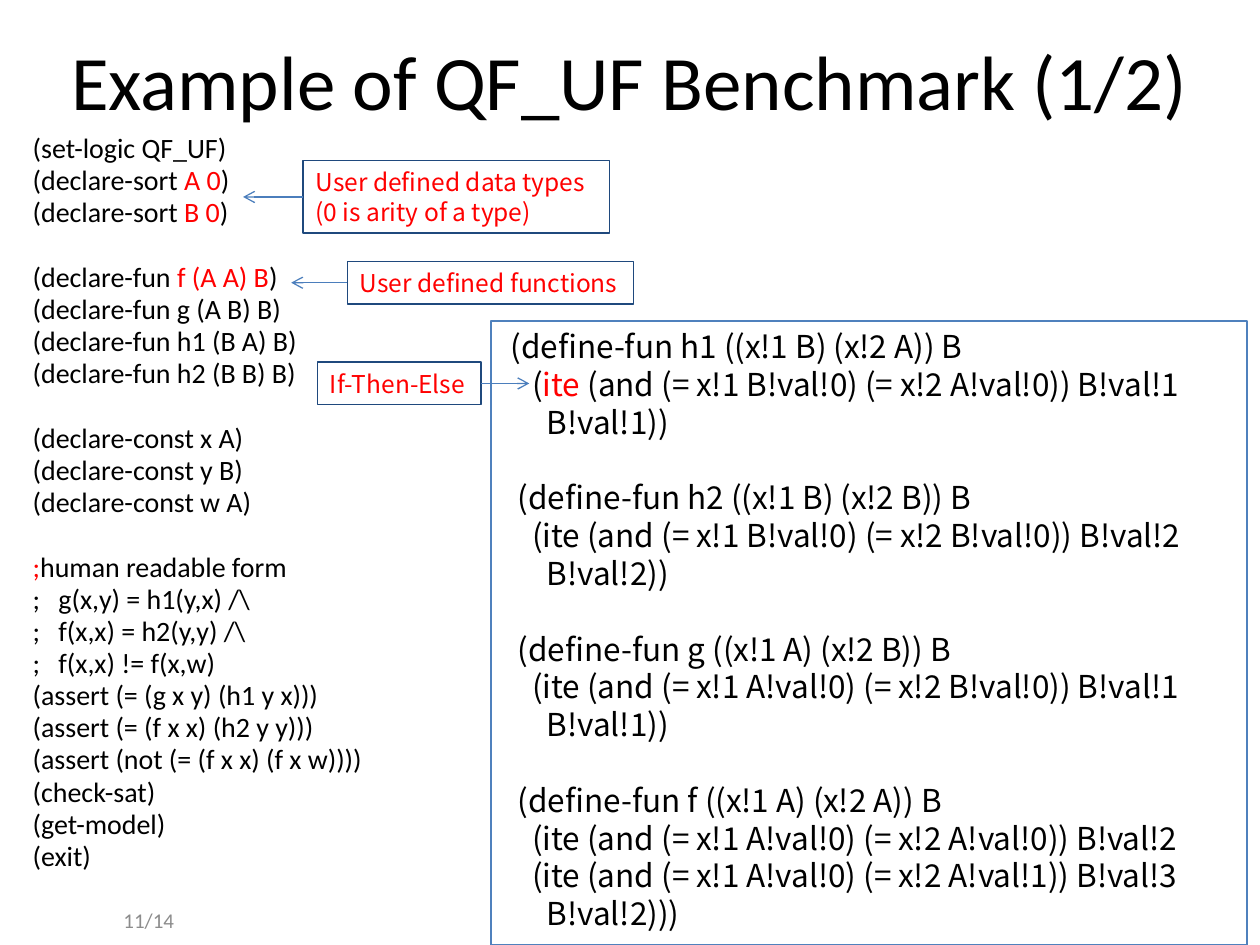
from dataclasses import dataclass

from lxml import etree
from pptx import Presentation
from pptx.dml.color import RGBColor
from pptx.enum.shapes import MSO_CONNECTOR, MSO_SHAPE
from pptx.enum.text import MSO_ANCHOR, PP_ALIGN
from pptx.oxml.ns import qn
from pptx.util import Cm, Pt

RECTANGLE = MSO_SHAPE.RECTANGLE
STRAIGHT = MSO_CONNECTOR.STRAIGHT
LEFT, CENTER, RIGHT = PP_ALIGN.LEFT, PP_ALIGN.CENTER, PP_ALIGN.RIGHT
TOP, MIDDLE = MSO_ANCHOR.TOP, MSO_ANCHOR.MIDDLE
LEFT_SIDE, RIGHT_SIDE = 1, 3

LATIN, CODE = "Calibri", "Noto Sans CJK KR"
BLACK, RED, GREY, WHITE = "000000", "FF0000", "8C8C8C", "FFFFFF"
NAVY, BLUE, ARROW_BLUE = "1F497D", "4F81BD", "4B7EBC"
INDENT_STEP = 0.145  # cm per indent level of the model code


@dataclass(frozen=True)
class Box:
    left: float
    top: float
    width: float
    height: float

    def lengths(self) -> tuple:
        return Cm(self.left), Cm(self.top), Cm(self.width), Cm(self.height)


@dataclass(frozen=True)
class Style:
    font: str
    size: int
    color: str = BLACK
    align: PP_ALIGN = LEFT


@dataclass(frozen=True)
class Callout:
    box: Box
    lines: tuple
    side: int
    arrow_tip: float


TITLE = Style(LATIN, 44, align=CENTER)
PAGE = Style(LATIN, 12, GREY, RIGHT)
SCRIPT = Style(LATIN, 16)
MODEL = Style(CODE, 18)
NOTE = Style(CODE, 14, RED)

# Bars enclose the part of a line shown in red
SCRIPT_BLOCKS = (
    ("(set-logic QF_UF)", "(declare-sort |A 0|)", "(declare-sort |B 0|)"),
    ("(declare-fun |f (A A) B|)", "(declare-fun g (A B) B)",
     "(declare-fun h1 (B A) B)", "(declare-fun h2 (B B) B)"),
    ("(declare-const x A)", "(declare-const y B)", "(declare-const w A)"),
    ("|;|human readable form", ";\tg(x,y) = h1(y,x) /\\",
     ";\tf(x,x) = h2(y,y) /\\", ";\tf(x,x) != f(x,w)",
     "(assert (= (g x y) (h1 y x)))", "(assert (= (f x x) (h2 y y)))",
     "(assert (not (= (f x x) (f x w))))",
     "(check-sat)", "(get-model)", "(exit)"),
)

# Each line is (indent level, text)
MODEL_BLOCKS = (
    ((1, "(define-fun h1 ((x!1 B) (x!2 A)) B"),
     (4, "(|ite| (and (= x!1 B!val!0) (= x!2 A!val!0)) B!val!1"),
     (6, "B!val!1))")),
    ((2, "(define-fun h2 ((x!1 B) (x!2 B)) B"),
     (4, "(ite (and (= x!1 B!val!0) (= x!2 B!val!0)) B!val!2"),
     (6, "B!val!2))")),
    ((2, "(define-fun g ((x!1 A) (x!2 B)) B"),
     (4, "(ite (and (= x!1 A!val!0) (= x!2 B!val!0)) B!val!1"),
     (6, "B!val!1))")),
    ((2, "(define-fun f ((x!1 A) (x!2 A)) B"),
     (4, "(ite (and (= x!1 A!val!0) (= x!2 A!val!0)) B!val!2"),
     (4, "(ite (and (= x!1 A!val!0) (= x!2 A!val!1)) B!val!3"),
     (6, "B!val!2)))")),
)

CALLOUTS = (
    Callout(Box(7.0, 5.27, 5.77, 0.86), ("User defined functions",),
            LEFT_SIDE, 5.87),
    Callout(Box(6.11, 3.24, 6.18, 1.46),
            ("User defined data types", "(0 is arity of a type)"),
            LEFT_SIDE, 4.9),
    Callout(Box(6.4, 7.3, 3.3, 0.86), ("If-Then-Else",), RIGHT_SIDE, 10.67),
)


def rgb(color: str) -> RGBColor:
    return RGBColor.from_string(color)


def write_line(frame, number: int, text: str, style: Style):
    """Write one paragraph, with every part between bars in red."""
    line = frame.paragraphs[0] if number == 0 else frame.add_paragraph()
    line.alignment = style.align
    for position, part in enumerate(text.split("|")):
        if part:
            run = line.add_run()
            run.text = part
            run.font.name = style.font
            run.font.size = Pt(style.size)
            run.font.color.rgb = rgb(RED if position % 2 else style.color)
    return line


def set_indent(line, left: float, first: float = 0) -> None:
    properties = line._p.get_or_add_pPr()
    properties.set("marL", str(Cm(left)))
    properties.set("indent", str(Cm(first)))


def add_text_box(slide, box: Box, anchor: MSO_ANCHOR):
    frame = slide.shapes.add_textbox(*box.lengths()).text_frame
    frame.word_wrap = True
    frame.vertical_anchor = anchor
    return frame


def add_frame(slide, box: Box, border: str, anchor: MSO_ANCHOR):
    rectangle = slide.shapes.add_shape(RECTANGLE, *box.lengths())
    rectangle.shadow.inherit = False
    rectangle.fill.background()
    rectangle.line.color.rgb = rgb(border)
    rectangle.line.width = Pt(0.75)
    rectangle.text_frame.word_wrap = False
    rectangle.text_frame.vertical_anchor = anchor
    return rectangle


def add_script(slide) -> None:
    frame = add_text_box(slide, Box(0.41, 2.64, 14.1, 14.48), TOP)
    number = 0
    for block_number, block in enumerate(SCRIPT_BLOCKS):
        for position, text in enumerate(block):
            line = write_line(frame, number, text, SCRIPT)
            line.line_spacing = 0.8
            starts_later_block = block_number > 0 and position == 0
            line.space_before = Pt(21.5 if starts_later_block else 3)
            hanging = 0.52 if "\t" in text else 0.95
            set_indent(line, hanging, -hanging)
            number += 1


def add_model(slide) -> None:
    panel = add_frame(slide, Box(9.9, 6.47, 15.24, 12.58), BLUE, TOP)
    panel.fill.solid()
    panel.fill.fore_color.rgb = rgb(WHITE)
    number = 0
    for block_number, block in enumerate(MODEL_BLOCKS):
        for position, (level, text) in enumerate(block):
            line = write_line(panel.text_frame, number, text, MODEL)
            set_indent(line, level * INDENT_STEP)
            if block_number > 0 and position == 0:
                line.space_before = Pt(21.6)
            number += 1


def add_callout(slide, callout: Callout) -> None:
    box = callout.box
    label = add_frame(slide, box, NAVY, MIDDLE)
    for number, text in enumerate(callout.lines):
        write_line(label.text_frame, number, text, NOTE)
    middle = Cm(box.top + box.height / 2)
    arrow = slide.shapes.add_connector(
        STRAIGHT, Cm(box.left), middle, Cm(callout.arrow_tip), middle)
    arrow.begin_connect(label, callout.side)
    arrow.line.color.rgb = rgb(ARROW_BLUE)
    arrow.line.width = Pt(0.75)
    etree.SubElement(arrow.line._get_or_add_ln(), qn("a:tailEnd"), type="arrow")
    etree.SubElement(arrow._element.spPr, qn("a:effectLst"))


def main() -> None:
    presentation = Presentation()
    presentation.slide_width, presentation.slide_height = Cm(25.4), Cm(19.05)
    slide = presentation.slides.add_slide(presentation.slide_layouts[6])

    # Title and page number
    title = add_text_box(slide, Box(0, 0.41, 25.4, 2.39), MIDDLE)
    write_line(title, 0, "Example of QF_UF Benchmark (1/2)", TITLE)
    page = add_text_box(slide, Box(1.27, 18.03, 2.49, 1.02), MIDDLE)
    write_line(page, 0, "11/14", PAGE)

    # Benchmark script, its model and the callouts
    add_script(slide)
    add_model(slide)
    for callout in CALLOUTS:
        add_callout(slide, callout)

    presentation.save("out.pptx")


if __name__ == "__main__":
    main()
